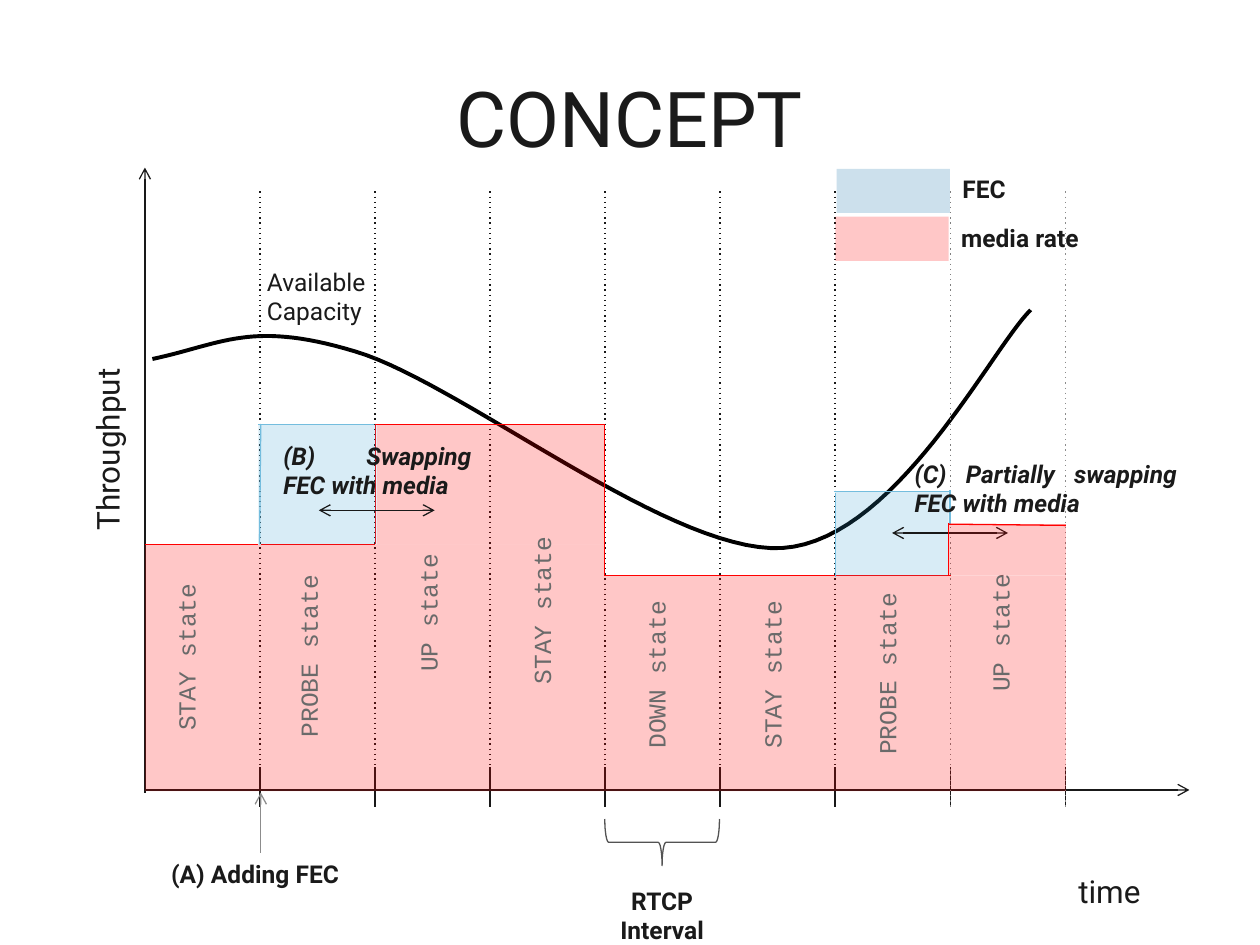
from dataclasses import dataclass
from lxml import etree
from pptx import Presentation
from pptx.dml.color import RGBColor
from pptx.enum.shapes import MSO_CONNECTOR, MSO_SHAPE
from pptx.enum.text import MSO_ANCHOR, MSO_AUTO_SIZE, PP_ALIGN
from pptx.oxml.ns import qn
from pptx.util import Inches, Pt

RECT, BRACE = MSO_SHAPE.RECTANGLE, MSO_SHAPE.LEFT_BRACE
STRAIGHT = MSO_CONNECTOR.STRAIGHT
MIDDLE, FIT = MSO_ANCHOR.MIDDLE, MSO_AUTO_SIZE.SHAPE_TO_FIT_TEXT
LEFT, CENTER, JUSTIFY = PP_ALIGN.LEFT, PP_ALIGN.CENTER, PP_ALIGN.JUSTIFY

HUES = {
    "ink": "191919", "text": "1A1A1A", "state": "6A6A6A", "brace": "535353",
    "mid": "7F7F7F", "pale": "8C8C8C", "black": "000000", "media": "FF0000",
    "fec": "339FD0", "edge": "74BDDE", "key": "1772AD",
}
PLAIN = {"name": "Roboto", "size": Pt(14)}
BOLD = {**PLAIN, "bold": True}
SLANT = {**BOLD, "italic": True}
LARGE = {**PLAIN, "size": Pt(18)}
HEAD = {**PLAIN, "size": Pt(44)}
CODE = {"name": "Courier New", "size": Pt(14)}

ORIGIN, STEP, BASE = 1.15, 0.913, 6.27
TICKS = [ORIGIN + STEP * i for i in range(9)]


@dataclass
class Line:
    x1: float
    y1: float
    x2: float
    y2: float
    hue: str = "ink"
    dash: str = ""
    ends: tuple = ()


@dataclass
class Block:
    x: float
    y: float
    w: float
    h: float
    hue: str
    alpha: int


@dataclass
class Label:
    text: str
    x: float
    y: float
    w: float
    h: float
    font: dict
    hue: str = "text"
    align: PP_ALIGN = LEFT
    wrap: bool = False
    turn: bool = False


def tint(hue: str) -> RGBColor:
    return RGBColor.from_string(HUES[hue])


def format_run(run, font: dict, hue: str) -> None:
    for key, value in font.items():
        setattr(run.font, key, value)
    run.font.color.rgb = tint(hue)


def draw_line(shapes, line: Line) -> None:
    ends = [Inches(v) for v in (line.x1, line.y1, line.x2, line.y2)]
    item = shapes.add_connector(STRAIGHT, *ends)
    item.line.width = Pt(0.75)
    item.line.color.rgb = tint(line.hue)
    stroke = item.line._get_or_add_ln()
    if line.dash:
        etree.SubElement(stroke, qn("a:prstDash"), val=line.dash)
    for end in line.ends:
        etree.SubElement(stroke, qn(f"a:{end}End"), type="arrow")
    etree.SubElement(item._element.spPr, qn("a:effectLst"))


def draw_block(shapes, block: Block) -> None:
    spot = [Inches(v) for v in (block.x, block.y, block.w, block.h)]
    item = shapes.add_shape(RECT, *spot)
    item.shadow.inherit = False
    item.line.fill.background()
    item.fill.solid()
    item.fill.fore_color.rgb = tint(block.hue)
    color = item._element.spPr.find(f".//{qn('a:srgbClr')}")
    etree.SubElement(color, qn("a:alpha"), val=str(block.alpha * 1000))


def draw_label(shapes, label: Label) -> None:
    spot = [Inches(v) for v in (label.x, label.y, label.w, label.h)]
    frame = shapes.add_textbox(*spot).text_frame
    frame.word_wrap = label.wrap
    frame.auto_size = FIT
    if label.turn:
        frame._txBody.bodyPr.set("vert", "vert270")
    para = frame.paragraphs[0]
    para.alignment = label.align
    run = para.add_run()
    run.text = label.text
    format_run(run, label.font, label.hue)


def draw_curve(shapes, start: tuple, bends: list, count: int = 30) -> None:
    points, here = [], start
    for a, b, end in bends:
        for n in range(1, count + 1):
            t = n / count
            mix = ((1 - t) ** 3, 3 * t * (1 - t) ** 2, 3 * t * t * (1 - t), t ** 3)
            knots = (here, a, b, end)
            points.append([Inches(sum(m * k[d] for m, k in zip(mix, knots))) for d in (0, 1)])
        here = end
    path = shapes.build_freeform(*map(Inches, start))
    path.add_line_segments(points, close=False)
    item = path.convert_to_shape()
    item.shadow.inherit = False
    item.fill.background()
    item.line.color.rgb = tint("black")
    item.line.width = Pt(2.25)


def draw_brace(shapes) -> None:
    item = shapes.add_shape(BRACE, Inches(5.07), Inches(6.23), Inches(0.37), Inches(0.91))
    item.rotation = 270
    item.shadow.inherit = False
    item.fill.background()
    item.line.color.rgb = tint("brace")
    item.line.width = Pt(0.75)


AXES = [Line(ORIGIN, 1.33, ORIGIN, 6.29, ends=("head",)),
        Line(9.44, BASE, ORIGIN, BASE, ends=("head",))]
BENDS = [((1.77, 2.73), (1.99, 2.54), (2.82, 2.79)),
         ((3.66, 3.04), (5.32, 4.4), (6.21, 4.35)),
         ((7.11, 4.29), (7.86, 2.78), (8.18, 2.46))]
RATES = [Line(*spot, "media") for spot in (
    (1.15, 4.32, 2.05, 4.32), (2.07, 4.32, 2.98, 4.32), (2.98, 3.37, 4.8, 3.37),
    (4.8, 4.57, 7.55, 4.57), (4.8, 3.37, 4.8, 4.57), (2.98, 3.37, 2.98, 4.32))]
BLOCKS = [Block(6.63, 1.72, 0.9, 0.35, "media", 22),
          Block(1.15, 4.32, 3.65, 1.96, "media", 22),
          Block(2.99, 3.37, 1.81, 0.95, "media", 22),
          Block(4.8, 4.57, 3.66, 1.71, "media", 22),
          Block(2.05, 3.37, 0.94, 0.95, "fec", 19),
          Block(6.63, 3.9, 0.9, 0.67, "fec", 19),
          Block(6.64, 1.34, 0.9, 0.35, "key", 22)]
EDGES = [Line(*spot, "edge") for spot in (
    (2.07, 3.37, 2.06, 4.32), (6.63, 3.91, 6.63, 4.58), (2.05, 3.37, 2.97, 3.37),
    (6.62, 3.9, 7.54, 3.9), (7.54, 3.89, 7.54, 4.17))]
SWAPS = [Line(2.53, 4.05, 3.45, 4.05, ends=("head", "tail")),
         Line(7.08, 4.23, 8, 4.23, ends=("head", "tail")),
         Line(2.07, 6.77, 2.07, 6.29, "pale", ends=("tail",))]
LAST = Block(7.53, 4.16, 0.93, 0.41, "media", 22)
RISE = [Line(7.53, 4.15, 7.53, 4.57, "media"), Line(7.53, 4.16, 8.46, 4.17, "media")]
SPANS = {"STAY": 1.28, "PROBE": 1.4, "UP": 1.04, "DOWN": 1.28}
STATES = [("STAY", 1.31, 4.62), ("PROBE", 2.28, 4.55), ("UP", 3.23, 4.39),
          ("STAY", 4.13, 4.25), ("DOWN", 5.04, 4.76), ("STAY", 5.96, 4.76),
          ("PROBE", 6.87, 4.69), ("UP", 7.77, 4.55)]
LABELS = [
    Label("RTCP Interval", 4.8, 6.98, 0.91, 0.57, BOLD, align=CENTER, wrap=True),
    Label("time", 8.46, 6.87, 0.73, 0.4, LARGE),
    Label("Throughput", 0.65, 2.81, 0.5, 1.5, LARGE, turn=True),
    Label("media rate", 7.53, 1.72, 1.22, 0.34, BOLD),
    Label("FEC", 7.54, 1.33, 0.59, 0.34, BOLD),
    Label("(A) Adding FEC", 1.26, 6.77, 1.6, 0.34, BOLD),
    Label("(B) Swapping FEC with media", 2.15, 3.45, 1.69, 0.57, SLANT,
          align=JUSTIFY, wrap=True),
    Label("(C) Partially swapping FEC with media", 7.16, 3.59, 2.28, 0.57, SLANT,
          align=JUSTIFY, wrap=True),
    Label("Available Capacity", 2.02, 2.07, 1.14, 0.57, PLAIN, wrap=True),
] + [Label(f"{name} state", x, y, 0.44, SPANS[name], CODE, "state", turn=True)
     for name, x, y in STATES]


def main() -> None:
    deck = Presentation()
    deck.slide_width, deck.slide_height = Inches(10), Inches(7.5)
    slide = deck.slides.add_slide(deck.slide_layouts[5])
    shapes = slide.shapes
    title = shapes.title
    title.left, title.top, title.width, title.height = map(Inches, (0.5, 0.3, 9, 1.25))
    title.text_frame.text = "CONCEPT"
    title.text_frame.vertical_anchor = MIDDLE
    para = title.text_frame.paragraphs[0]
    para.alignment = CENTER
    format_run(para.runs[0], HEAD, "text")

    marks = [Line(x, 6.09, x, 6.4) for x in TICKS[1:]]
    shades = ["ink"] * 6 + ["mid", "pale"]
    grid = [Line(x, 1.52, x, 6.41, hue, "dot") for x, hue in zip(TICKS[1:], shades)]
    for line in AXES:
        draw_line(shapes, line)
    draw_curve(shapes, (1.21, 2.85), BENDS)
    draw_brace(shapes)
    for line in marks + grid + RATES:
        draw_line(shapes, line)
    for block in BLOCKS:
        draw_block(shapes, block)
    for line in EDGES + SWAPS:
        draw_line(shapes, line)
    for label in LABELS:
        draw_label(shapes, label)
    draw_block(shapes, LAST)
    for line in RISE:
        draw_line(shapes, line)
    deck.save("out.pptx")


if __name__ == "__main__":
    main()
